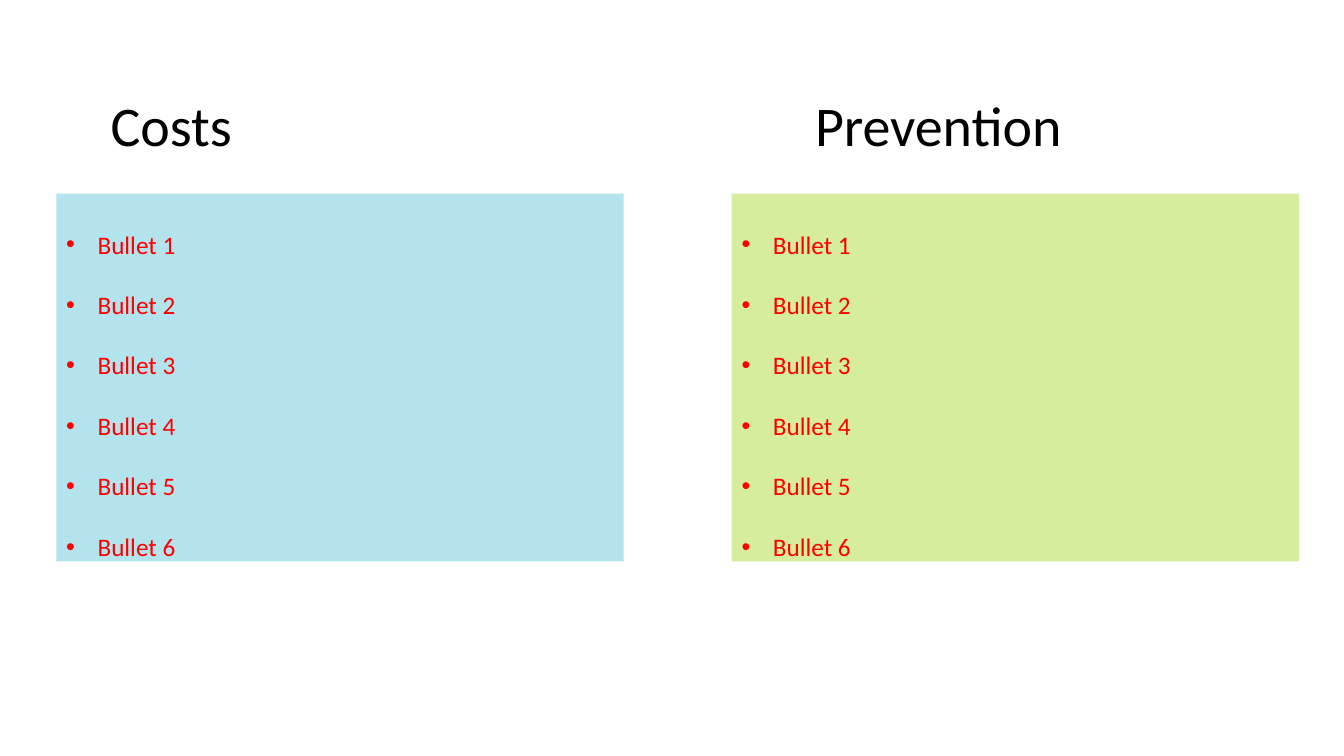
"""Build a two-column slide comparing costs and prevention."""
from dataclasses import dataclass

from lxml import etree
from pptx import Presentation
from pptx import util as u
from pptx.dml.color import RGBColor
from pptx.enum import shapes, text
from pptx.oxml import ns

BULLETS = [f"Bullet {number}" for number in range(1, 7)]
COLUMNS = [
    {"title": "Costs", "title_left": 2.54, "title_width": 9.53,
     "panel_left": 1.42, "fill": "B3E3ED"},
    {"title": "Prevention", "title_left": 20.29, "title_width": 8.84,
     "panel_left": 18.44, "fill": "D7ED9E"},
]
TITLE_TOP, TITLE_HEIGHT = 2.16, 1.96
PANEL_TOP, PANEL_WIDTH, PANEL_HEIGHT = 4.88, 14.3, 9.27
BULLET_INDENT = u.Cm(0.79)


@dataclass(frozen=True)
class Theme:
    font: str = "Calibri"
    title_size: int = 40
    bullet_size: int = 18
    title_color: str = "000000"
    bullet_color: str = "FF0000"


THEME = Theme()


def add_bullet(para):
    props = para._p.get_or_add_pPr()
    props.set("marL", str(BULLET_INDENT))
    props.set("indent", str(-BULLET_INDENT))
    etree.SubElement(props, ns.qn("a:buFont"), typeface="Arial")
    etree.SubElement(props, ns.qn("a:buChar"), char="•")


def write(box, lines, *, size, color, spacing=None, bulleted=False):
    frame = box.text_frame
    frame.word_wrap = True
    frame.auto_size = text.MSO_AUTO_SIZE.SHAPE_TO_FIT_TEXT
    frame.vertical_anchor = text.MSO_ANCHOR.TOP
    for index, line in enumerate(lines):
        para = frame.add_paragraph() if index else frame.paragraphs[0]
        para.alignment = text.PP_ALIGN.LEFT
        if spacing:
            para.line_spacing = spacing
        if bulleted:
            add_bullet(para)
        span = para.add_run()
        span.text = line
        span.font.name = THEME.font
        span.font.size = u.Pt(size)
        span.font.color.rgb = RGBColor.from_string(color)


def add_column(page, column):
    title = page.shapes.add_textbox(
        u.Cm(column["title_left"]), u.Cm(TITLE_TOP),
        u.Cm(column["title_width"]), u.Cm(TITLE_HEIGHT))
    write(title, [column["title"]], size=THEME.title_size, color=THEME.title_color)

    panel = page.shapes.add_shape(
        shapes.MSO_SHAPE.RECTANGLE, u.Cm(column["panel_left"]), u.Cm(PANEL_TOP),
        u.Cm(PANEL_WIDTH), u.Cm(PANEL_HEIGHT))
    panel.shadow.inherit = False
    panel.fill.solid()
    panel.fill.fore_color.rgb = RGBColor.from_string(column["fill"])
    panel.line.fill.background()
    write(panel, BULLETS, size=THEME.bullet_size, color=THEME.bullet_color,
          spacing=2.0, bulleted=True)


deck = Presentation()
deck.slide_width, deck.slide_height = u.Cm(33.87), u.Cm(19.05)
page = deck.slides.add_slide(deck.slide_layouts[6])
for column in COLUMNS:
    add_column(page, column)
deck.save("out.pptx")
